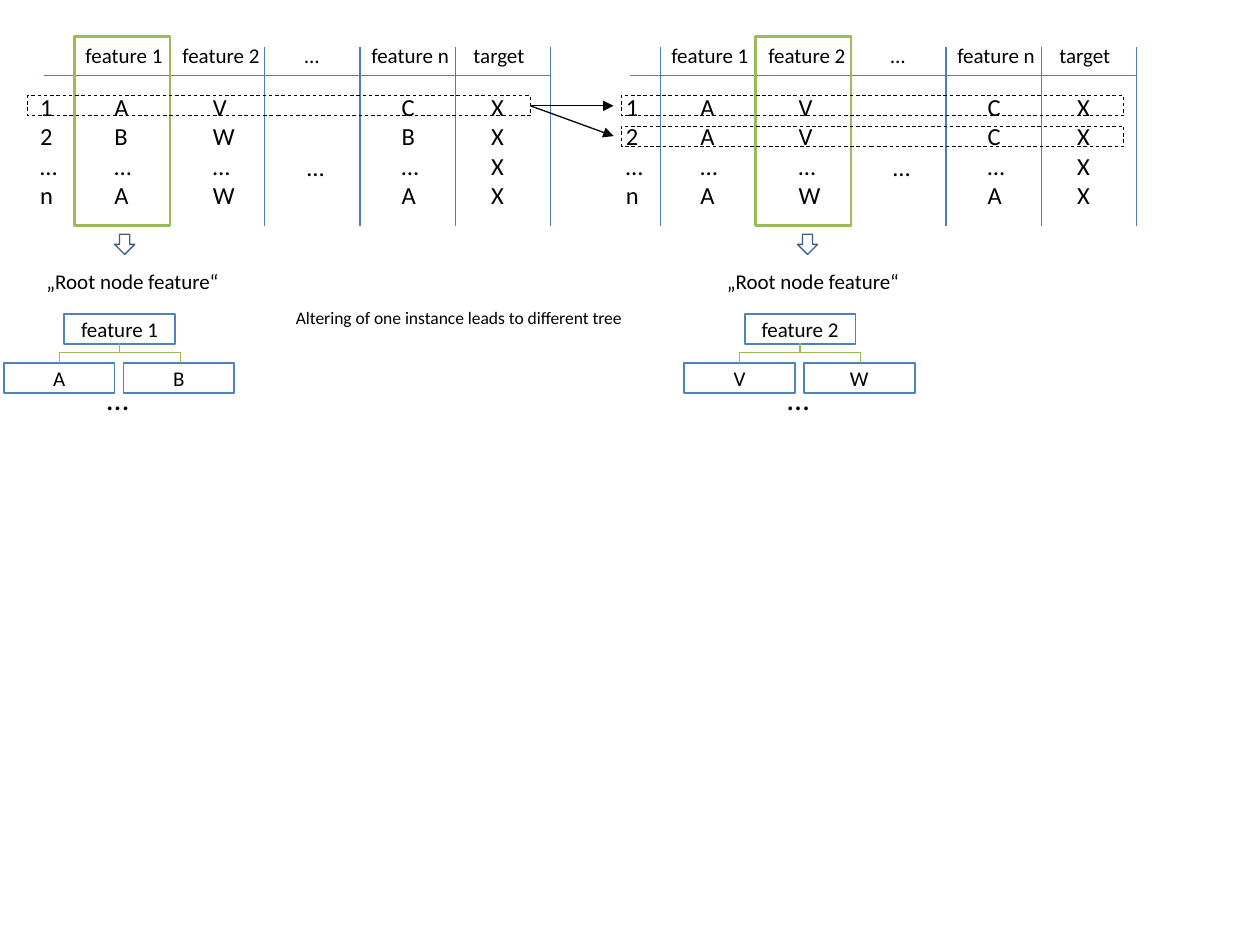
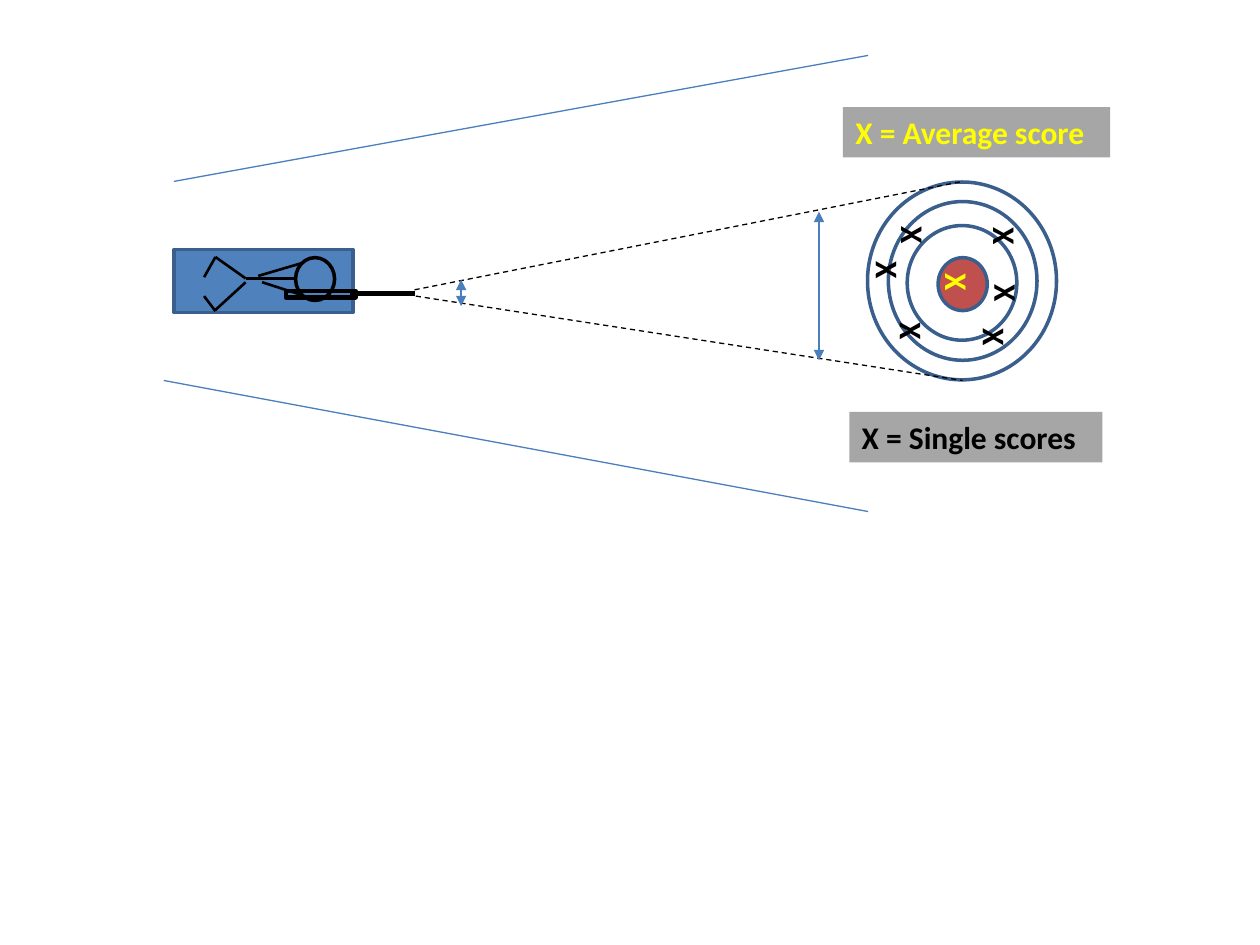
from dataclasses import dataclass
from typing import Any, NamedTuple, Optional

import lxml.etree
import pptx
import pptx.dml.color
import pptx.enum.dml
import pptx.enum.shapes
import pptx.enum.text
import pptx.oxml.ns
import pptx.util

Inches = pptx.util.Inches
RGBColor = pptx.dml.color.RGBColor
Kind = pptx.enum.shapes.MSO_SHAPE
Link = pptx.enum.shapes.MSO_CONNECTOR
qn = pptx.oxml.ns.qn

FONT = "Calibri"
BLACK = RGBColor(0x00, 0x00, 0x00)
BLUE = RGBColor(0x4F, 0x81, 0xBD)
RULE = RGBColor(0x4B, 0x7E, 0xBC)
NAVY = RGBColor(0x3A, 0x5F, 0x8C)
GREEN = RGBColor(0x9B, 0xBB, 0x59)
RED = RGBColor(0xC0, 0x50, 0x4D)
GRAY = RGBColor(0xA6, 0xA6, 0xA6)
YELLOW = RGBColor(0xFF, 0xFF, 0x00)

COL_STEP = 0.756
ROW_STEP = 0.24


class Spot(NamedTuple):
    x: float
    y: float


class Box(NamedTuple):
    x: float
    y: float
    w: float
    h: float


@dataclass(frozen=True)
class Form:
    box: Box
    edge: RGBColor
    weight: float
    kind: Any = Kind.RECTANGLE
    fill: Optional[RGBColor] = None
    turn: float = 0
    dash: bool = False
    text: str = ""


@dataclass(frozen=True)
class Line:
    start: Spot
    end: Spot
    color: RGBColor = RULE
    weight: float = 0.75
    dash: bool = False
    head: bool = False
    tail: bool = False


@dataclass(frozen=True)
class Label:
    box: Box
    text: str
    size: float = 12
    color: RGBColor = BLACK
    bold: bool = False
    fill: Optional[RGBColor] = None
    turn: float = 0


class Column(NamedTuple):
    title: str
    title_x: float
    title_w: float
    cell_x: float
    cell_w: float


@dataclass(frozen=True)
class Panel:
    left: float
    tree: float
    arrow: float
    pick: int
    cells: tuple[str, ...]
    leaves: tuple[str, str]


COLUMNS = (
    Column("", 0, 0, 0.22, 0.36),
    Column("feature 1", 0.58, 0.82, 0.81, 0.36),
    Column("feature 2", 1.35, 0.83, 1.59, 0.38),
    Column("…", 2.32, 0.34, 2.34, 0.36),
    Column("feature n", 2.85, 0.83, 3.09, 0.36),
    Column("target", 3.66, 0.63, 3.80, 0.32),
)

PANELS = (
    Panel(0, 0, 0.91, 1,
          ("1\n2\n…\nn", "A\nB\n…\nA", "V\nW\n…\nW", "…", "C\nB\n…\nA", "X\nX\nX\nX"),
          ("A", "B")),
    Panel(4.65, 5.4, 6.33, 2,
          ("1\n2\n…\nn", "A\nA\n…\nA", "V\nV\n…\nW", "…", "C\nC\n…\nA", "X\nX\nX\nX"),
          ("V", "W")),
)


def style(frame: Any, size: float, color: RGBColor, bold: bool = False) -> None:
    for par in frame.paragraphs:
        for run in par.runs:
            run.font.name = FONT
            run.font.size = pptx.util.Pt(size)
            run.font.bold = bold
            run.font.color.rgb = color


def ink(line: Any, color: RGBColor, weight: float, dash: bool) -> None:
    line.color.rgb = color
    line.width = pptx.util.Pt(weight)
    if dash:
        line.dash_style = pptx.enum.dml.MSO_LINE.DASH


def draw_form(slide: Any, form: Form) -> None:
    shape = slide.shapes.add_shape(form.kind, *map(Inches, form.box))
    shape.shadow.inherit = False
    shape.rotation = form.turn
    if form.fill is None:
        shape.fill.background()
    else:
        shape.fill.solid()
        shape.fill.fore_color.rgb = form.fill
    ink(shape.line, form.edge, form.weight, form.dash)
    if form.text:
        frame = shape.text_frame
        frame.text = form.text
        frame.vertical_anchor = pptx.enum.text.MSO_ANCHOR.MIDDLE
        frame.paragraphs[0].alignment = pptx.enum.text.PP_ALIGN.CENTER
        style(frame, 12, BLACK)


def draw_line(slide: Any, line: Line, link: Any = Link.STRAIGHT) -> Any:
    shape = slide.shapes.add_connector(link, *map(Inches, line.start + line.end))
    ink(shape.line, line.color, line.weight, line.dash)
    props = shape.element.spPr
    stroke = props.find(qn("a:ln"))
    for tag, shown in (("a:headEnd", line.head), ("a:tailEnd", line.tail)):
        if shown:
            lxml.etree.SubElement(stroke, qn(tag), type="triangle")
    lxml.etree.SubElement(props, qn("a:effectLst"))
    return shape


def draw_label(slide: Any, label: Label) -> None:
    shape = slide.shapes.add_textbox(*map(Inches, label.box))
    shape.rotation = label.turn
    if label.fill is not None:
        shape.fill.solid()
        shape.fill.fore_color.rgb = label.fill
    frame = shape.text_frame
    frame.text = label.text
    frame.word_wrap = False
    frame.auto_size = pptx.enum.text.MSO_AUTO_SIZE.SHAPE_TO_FIT_TEXT
    style(frame, label.size, label.color, label.bold)


def draw_branch(slide: Any, top: Spot, side: int) -> None:
    drop, span = 0.16, 0.48
    mid = Spot(top.x + side * span / 2, top.y + drop / 2)
    shift = side * drop / 2
    line = Line(Spot(mid.x + shift, mid.y - span / 2),
                Spot(mid.x - shift, mid.y + span / 2), GREEN)
    shape = draw_line(slide, line, Link.ELBOW)
    angle = 90 if side < 0 else 270
    shape.element.spPr.find(qn("a:xfrm")).set("rot", str(angle * 60000))


def draw_table(slide: Any, panel: Panel) -> None:
    left = panel.left
    draw_line(slide, Line(Spot(left + 0.35, 0.6), Spot(left + 4.37, 0.6)))
    for step in range(6):
        x = left + 0.59 + step * COL_STEP
        draw_line(slide, Line(Spot(x, 1.79), Spot(x, 0.37)))
    for col, text in zip(COLUMNS, panel.cells):
        if col.title:
            draw_label(slide, Label(Box(left + col.title_x, 0.29, col.title_w, 0.3), col.title))
        rows = text.count("\n") + 1
        top = 0.68 if rows > 1 else 0.68 + 2 * ROW_STEP
        box = Box(left + col.cell_x, top, col.cell_w, 0.1 + rows * ROW_STEP)
        draw_label(slide, Label(box, text, 14))
    x = left + 0.59 + (panel.pick - 1) * COL_STEP
    draw_form(slide, Form(Box(x, 0.29, 0.76, 1.5), GREEN, 1.5))


def draw_tree(slide: Any, panel: Panel) -> None:
    left = panel.tree
    draw_form(slide, Form(Box(panel.arrow, 1.86, 0.16, 0.16), NAVY, 0.75, Kind.DOWN_ARROW))
    draw_label(slide, Label(Box(left + 0.27, 2.08, 1.59, 0.3), "„Root node feature“"))
    nodes = ((0.51, 2.49, COLUMNS[panel.pick].title),
             (0.03, 2.88, panel.leaves[0]), (0.98, 2.88, panel.leaves[1]))
    for x, y, text in nodes:
        draw_form(slide, Form(Box(left + x, y, 0.88, 0.24), BLUE, 1, text=text))
    for side in (-1, 1):
        draw_branch(slide, Spot(left + 0.95, 2.72), side)
    draw_label(slide, Label(Box(left + 0.75, 2.96, 0.4, 0.4), "…", 18))


def build_trees(slide: Any) -> None:
    for panel in PANELS:
        draw_table(slide, panel)
        draw_tree(slide, panel)
    for x, y in ((0.22, 0.76), (4.93, 0.76), (4.93, 1.0)):
        draw_form(slide, Form(Box(x, y, 3.99, 0.16), BLACK, 0.5, dash=True))
    for y in (0.84, 1.08):
        draw_line(slide, Line(Spot(4.21, 0.84), Spot(4.87, y), BLACK, tail=True))
    draw_label(slide, Label(Box(2.25, 2.39, 2.86, 0.27),
                            "Altering of one instance leads to different tree", 10))


RINGS = (
    (Box(6.85, 1.48, 1.57, 1.5), None),
    (Box(7.01, 1.64, 1.26, 1.18), None),
    (Box(7.18, 1.81, 0.91, 0.87), None),
    (Box(7.43, 2.06, 0.42, 0.39), RED),
)
LIMBS = (
    (Spot(2.34, 2.21), Spot(1.95, 2.21)),
    (Spot(1.95, 2.21), Spot(1.71, 2.04)),
    (Spot(1.71, 2.04), Spot(1.62, 2.2)),
    (Spot(1.95, 2.24), Spot(1.71, 2.46)),
    (Spot(1.71, 2.47), Spot(1.62, 2.35)),
    (Spot(2.39, 2.34), Spot(2.08, 2.24)),
    (Spot(2.39, 2.09), Spot(2.05, 2.19)),
)
HITS = (Spot(7.08, 1.67), Spot(7.73, 2.48), Spot(7.81, 1.68),
        Spot(7.07, 2.43), Spot(7.82, 2.13), Spot(6.88, 1.95))
MEAN = Spot(7.43, 2.04)


def draw_hit(slide: Any, spot: Spot, color: RGBColor) -> None:
    draw_label(slide, Label(Box(spot.x, spot.y, 0.34, 0.4), "X", 18, color, True, turn=90))


def build_range(slide: Any) -> None:
    draw_form(slide, Form(Box(1.84, 1.52, 0.5, 1.42), NAVY, 2, fill=BLUE, turn=90))
    draw_line(slide, Line(Spot(3.29, 2.33), Spot(2.78, 2.33), BLACK, 3))
    draw_form(slide, Form(Box(2.52, 2.06, 0.05, 0.55), BLACK, 2.75, turn=90))
    for box, fill in RINGS:
        draw_form(slide, Form(box, NAVY, 2, Kind.OVAL, fill, 90))
    draw_line(slide, Line(Spot(6.89, 0.44), Spot(1.38, 1.44)))
    draw_line(slide, Line(Spot(6.89, 4.06), Spot(1.3, 3.02)))
    draw_form(slide, Form(Box(2.33, 2.06, 0.34, 0.31), BLACK, 2, Kind.OVAL, turn=90))
    for start, end in LIMBS:
        draw_line(slide, Line(start, end, BLACK, 1.5))
    draw_line(slide, Line(Spot(3.29, 2.3), Spot(7.64, 1.44), BLACK, dash=True))
    draw_line(slide, Line(Spot(3.3, 2.35), Spot(7.64, 3.02), BLACK, dash=True))
    for x, low, high in ((3.66, 2.43, 2.22), (6.5, 2.86, 1.68)):
        draw_line(slide, Line(Spot(x, low), Spot(x, high), head=True, tail=True))
    for spot in HITS:
        draw_hit(slide, spot, BLACK)
    draw_hit(slide, MEAN, YELLOW)
    for box, text, color in ((Box(6.69, 0.85, 2.12, 0.4), "X = Average score", YELLOW),
                             (Box(6.74, 3.27, 2.01, 0.4), "X = Single scores", BLACK)):
        draw_label(slide, Label(box, text, 18, color, True, GRAY))


def main() -> None:
    deck = pptx.Presentation()
    deck.slide_width = Inches(10)
    deck.slide_height = Inches(7.5)
    for build in (build_trees, build_range):
        build(deck.slides.add_slide(deck.slide_layouts[6]))
    deck.save("out.pptx")


if __name__ == "__main__":
    main()
